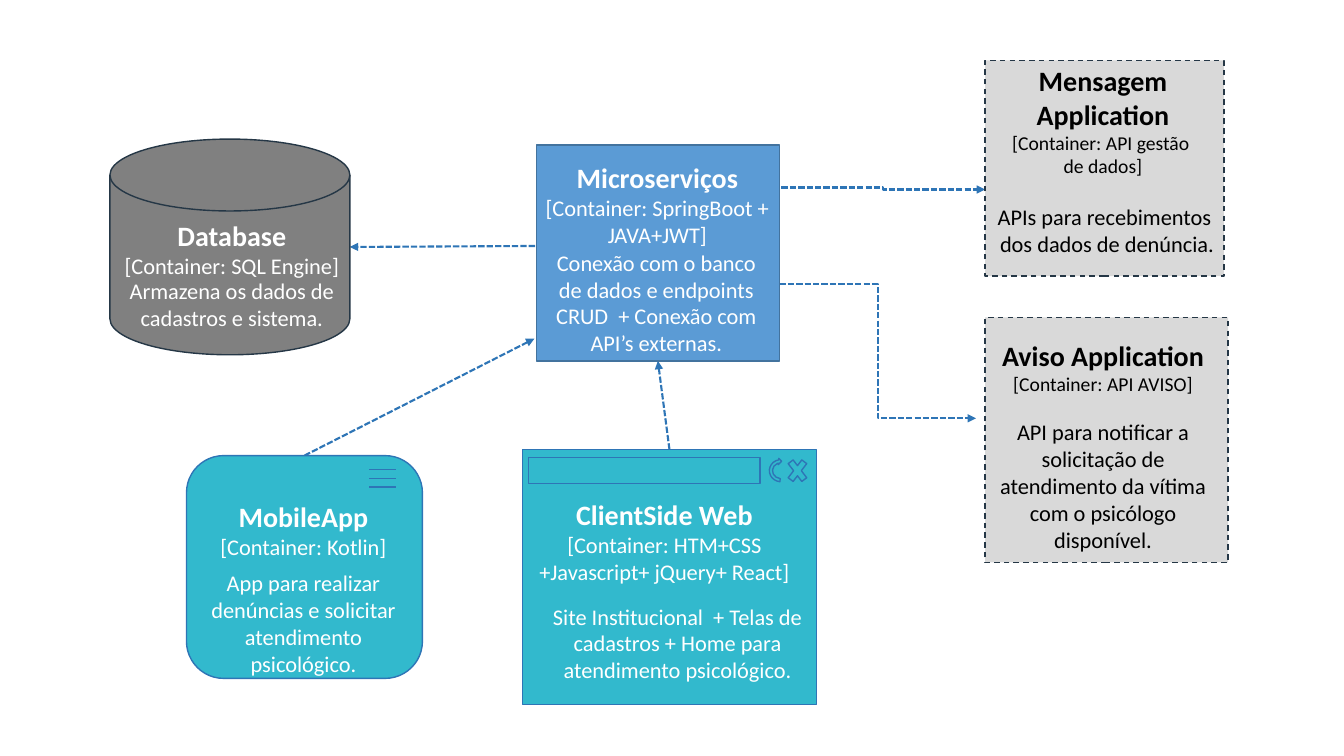
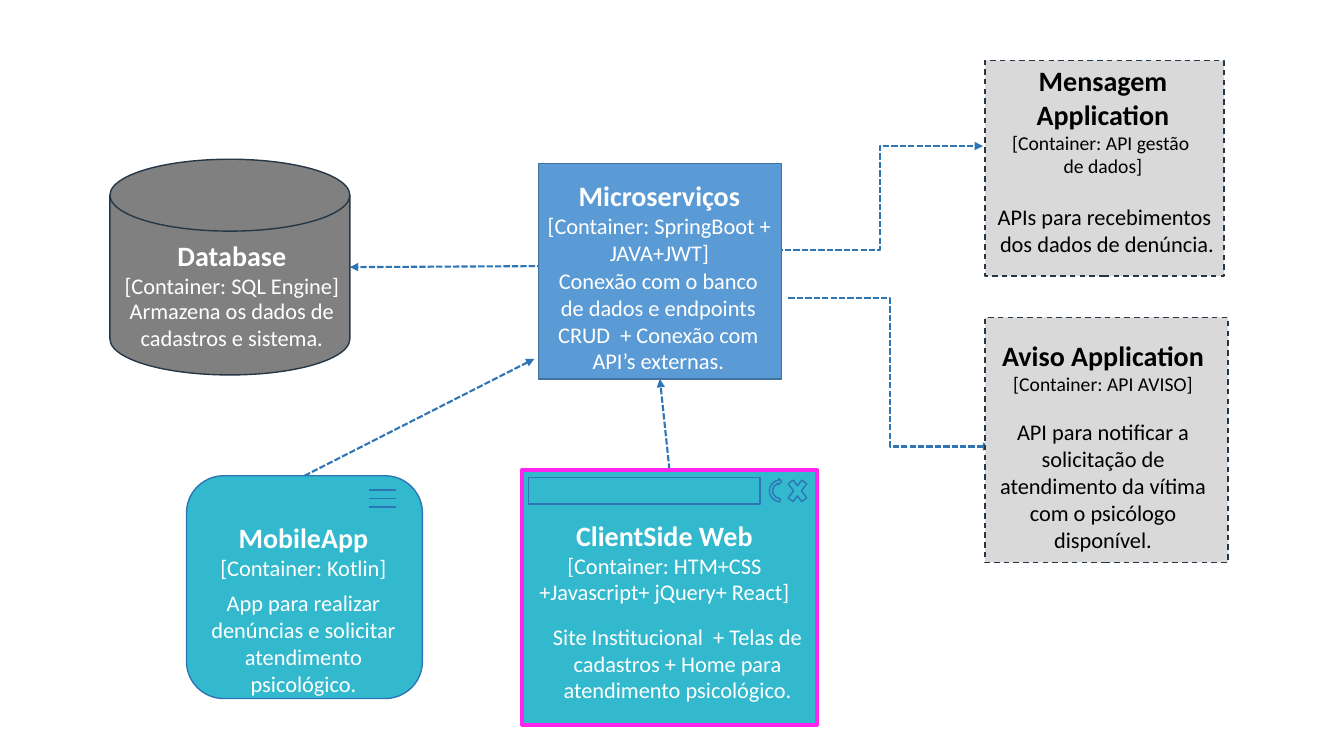
"""Build two container diagrams of a reporting platform."""
from dataclasses import dataclass

from lxml import etree
from pptx import Presentation
from pptx import util as u
from pptx.dml import color
from pptx.enum import dml, shapes, text
from pptx.oxml import ns

FONT = "Calibri"
WHITE, BLACK = "FFFFFF", "000000"
BLUE, NAVY, STEEL = "2E75B6", "253746", "43739E"
GRAY, SILVER, SKY, TEAL, PINK = "808080", "D9D9D9", "5B9BD5", "32B9CD", "FF25EF"
KIND = shapes.MSO_SHAPE
DASH = dml.MSO_LINE
TITLE_SIZE, BODY_SIZE, SMALL_SIZE = 20, 16, 14


@dataclass
class Card:
    """Style and wording of one container; text areas are (dx, dy, width, height)."""

    kind: int
    fill: str
    line: str
    title: str
    tags: list
    body: list
    title_area: tuple
    body_area: tuple
    ink: str = WHITE
    tag_size: int = BODY_SIZE
    dash: object = None


DATABASE = Card(
    KIND.FLOWCHART_MAGNETIC_DISK, GRAY, NAVY, "Database",
    ["[Container: SQL Engine]"],
    ["Armazena os dados de cadastros e sistema."],
    (-0.09, 0.74, 2.6, 0.62), (-0.09, 1.32, 2.6, 0.56))
SERVICES = Card(
    KIND.RECTANGLE, SKY, STEEL, "Microserviços",
    ["[Container: SpringBoot + JAVA+JWT]"],
    ["Conexão com o banco de dados e endpoints CRUD  + Conexão com API’s externas."],
    (-0.1, 0.1, 2.6, 0.95), (0.02, 0.98, 2.34, 1.14))
WEB = Card(
    KIND.RECTANGLE, TEAL, BLUE, "ClientSide Web",
    ["[Container: HTM+CSS +Javascript+ jQuery+ React]"],
    ["Site Institucional  + Telas de cadastros + Home para atendimento psicológico."],
    (-0.11, 0.43, 3.04, 1.12), (0.02, 1.47, 3.04, 1.04))
MOBILE = Card(
    KIND.ROUNDED_RECTANGLE, TEAL, BLUE, "MobileApp",
    ["[Container: Kotlin]"],
    ["App para realizar denúncias e solicitar atendimento psicológico."],
    (-0.14, 0.39, 2.6, 0.68), (-0.01, 1.08, 2.34, 0.88))
MESSAGES = Card(
    KIND.RECTANGLE, SILVER, NAVY, "Mensagem Application",
    ["[Container: API gestão ", "de dados]"],
    ["APIs para recebimentos ", "dos dados de denúncia."],
    (-0.13, -0.02, 2.6, 1.25), (-0.09, 1.37, 2.6, 0.62),
    BLACK, SMALL_SIZE, DASH.DASH)
ALERTS = Card(
    KIND.RECTANGLE, SILVER, NAVY, "Aviso Application",
    ["[Container: API AVISO]"],
    ["API para notificar a solicitação de atendimento da vítima "
     "com o psicólogo disponível."],
    (-0.13, 0.16, 2.6, 0.65), (-0.13, 0.95, 2.6, 1.14),
    BLACK, SMALL_SIZE, DASH.DASH)


def rgb(code):
    """Turn a hex string into a colour."""
    return color.RGBColor.from_string(code)


def apply(target, **values):
    """Set each named attribute of the target."""
    for name, value in values.items():
        setattr(target, name, value)


def stroke(line, code, width, dash=None):
    """Style an outline or a connector."""
    line.color.rgb = rgb(code)
    apply(line, width=u.Pt(width), dash_style=dash)


def add_block(page, kind, box, line, fill=None, width=1, dash=None):
    """Add a preset shape, hollow unless a fill is given."""
    block = page.shapes.add_shape(kind, *map(u.Inches, box))
    block.shadow.inherit = False
    if fill:
        block.fill.solid()
        block.fill.fore_color.rgb = rgb(fill)
    else:
        block.fill.background()
    stroke(block.line, line, width, dash)
    return block


def add_line(page, start, end, width=1, dash=None, kind=shapes.MSO_CONNECTOR.STRAIGHT):
    """Add a plain connector between two points."""
    link = page.shapes.add_connector(kind, *map(u.Inches, (*start, *end)))
    stroke(link.line, BLUE, width, dash)
    etree.SubElement(link._element.spPr, ns.qn("a:effectLst"))
    return link


def add_arrow(page, start, end, bent=False):
    """Add a dashed arrow, straight or with an elbow."""
    kind = shapes.MSO_CONNECTOR.ELBOW if bent else shapes.MSO_CONNECTOR.STRAIGHT
    link = add_line(page, start, end, 1.5, DASH.SQUARE_DOT, kind)
    etree.SubElement(link.line._get_or_add_ln(), ns.qn("a:tailEnd"), type="triangle")


def add_text(page, box, rows, ink):
    """Add centred paragraphs given as (wording, size, bold)."""
    frame = page.shapes.add_textbox(*map(u.Inches, box)).text_frame
    apply(frame, word_wrap=True, auto_size=text.MSO_AUTO_SIZE.SHAPE_TO_FIT_TEXT)
    for index, (wording, size, bold) in enumerate(rows):
        para = frame.add_paragraph() if index else frame.paragraphs[0]
        para.alignment = text.PP_ALIGN.CENTER
        span = para.add_run()
        span.text = wording
        apply(span.font, name=FONT, size=u.Pt(size), bold=bold)
        span.font.color.rgb = rgb(ink)


def add_card(page, card, box, line=None, width=1):
    """Draw a container with its heading and description."""
    left, top = box[:2]
    add_block(page, card.kind, box, line or card.line, card.fill, width, card.dash)
    heading = [(card.title, TITLE_SIZE, True)]
    heading += [(tag, card.tag_size, False) for tag in card.tags]
    body = [(wording, BODY_SIZE, False) for wording in card.body]
    for area, rows in ((card.title_area, heading), (card.body_area, body)):
        dx, dy, *size = area
        add_text(page, (left + dx, top + dy, *size), rows, card.ink)


def add_browser(page, box, **outline):
    """Draw the web container with its address bar and buttons."""
    left, top = box[:2]
    add_card(page, WEB, box, **outline)
    add_block(page, KIND.RECTANGLE, (left + 0.06, top + 0.08, 2.3, 0.26), BLUE)
    add_block(page, KIND.MATH_MULTIPLY, (left + 2.6, top + 0.04, 0.26, 0.34), BLUE)
    reload = add_block(page, KIND.CIRCULAR_ARROW,
                       (left + 2.44, top + 0.08, 0.25, 0.26), BLUE)
    reload.rotation = 275


def add_phone(page, box):
    """Draw the mobile container with its menu icon."""
    left, top = box[:2]
    add_card(page, MOBILE, box)
    for row in range(3):
        level = top + 0.14 + row * 0.085
        add_line(page, (left + 1.81, level), (left + 2.08, level))


def add_diagram(page, drop, services, bends, **web_outline):
    """Draw the whole diagram, its left side lowered by drop."""
    left, top, width, height = services
    web = (5.18, 4.46 + drop, 2.92, 2.53)
    phone = (1.85, 4.52 + drop, 2.34, 2.21)
    add_arrow(page, (5.39, 2.44 + drop), (3.47, 2.45 + drop))
    add_arrow(page, (phone[0] + phone[2] / 2, phone[1]), (5.3, 3.36 + drop))
    add_arrow(page, (web[0] + web[2] / 2, web[1]), (left + width / 2, top + height))
    for start, end in bends:
        add_arrow(page, start, end, bent=True)
    add_card(page, DATABASE, (1.09, 1.38 + drop, 2.38, 2.14))
    add_card(page, SERVICES, services)
    add_browser(page, web, **web_outline)
    add_phone(page, phone)
    add_card(page, MESSAGES, (9.77, 0.6, 2.37, 2.14))
    add_card(page, ALERTS, (9.77, 3.15, 2.41, 2.43))


def main():
    """Build and save the deck."""
    deck = Presentation()
    apply(deck, slide_width=u.Inches(13.33), slide_height=u.Inches(7.5))
    overview, highlight = (deck.slides.add_slide(deck.slide_layouts[6]) for _ in range(2))
    add_diagram(overview, 0, (5.32, 1.44, 2.41, 2.14),
                [((7.75, 1.86), (9.77, 1.88)), ((7.73, 2.82), (9.68, 4.15))])
    add_diagram(highlight, 0.2, (5.34, 1.62, 2.41, 2.14),
                [((7.7, 2.48), (9.75, 1.45)), ((7.82, 2.96), (9.83, 4.43))],
                line=PINK, width=3)
    deck.save("out.pptx")


main()
